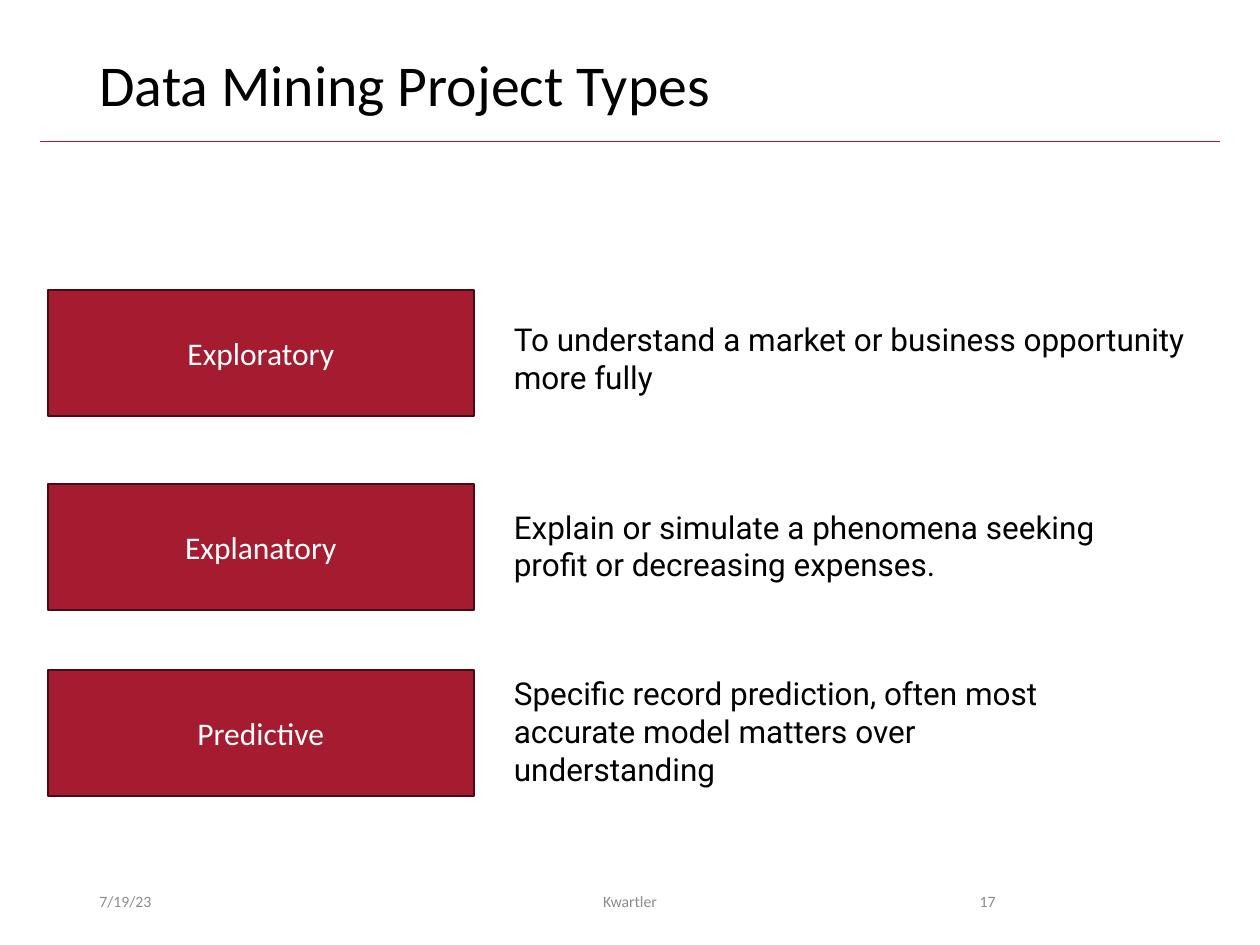
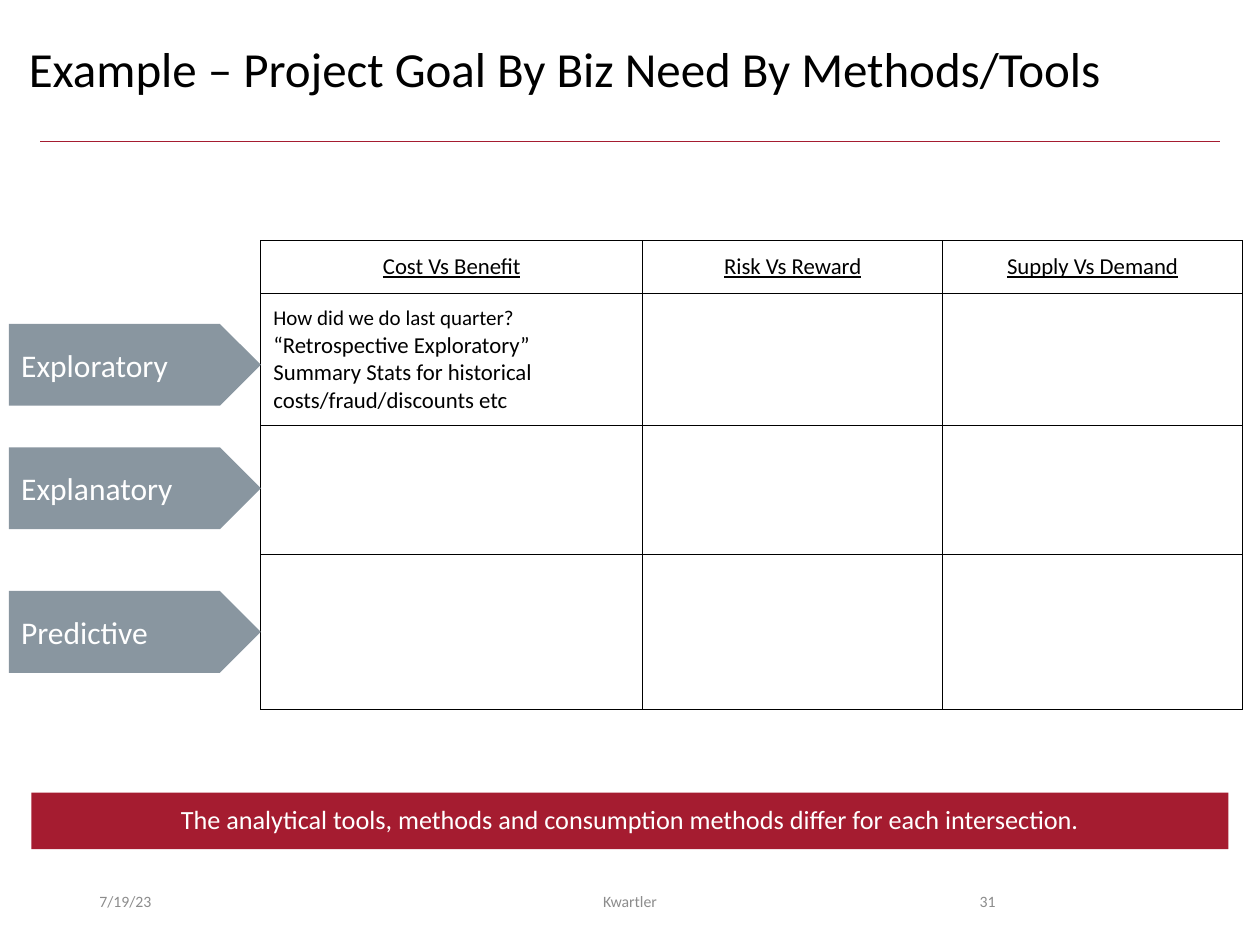
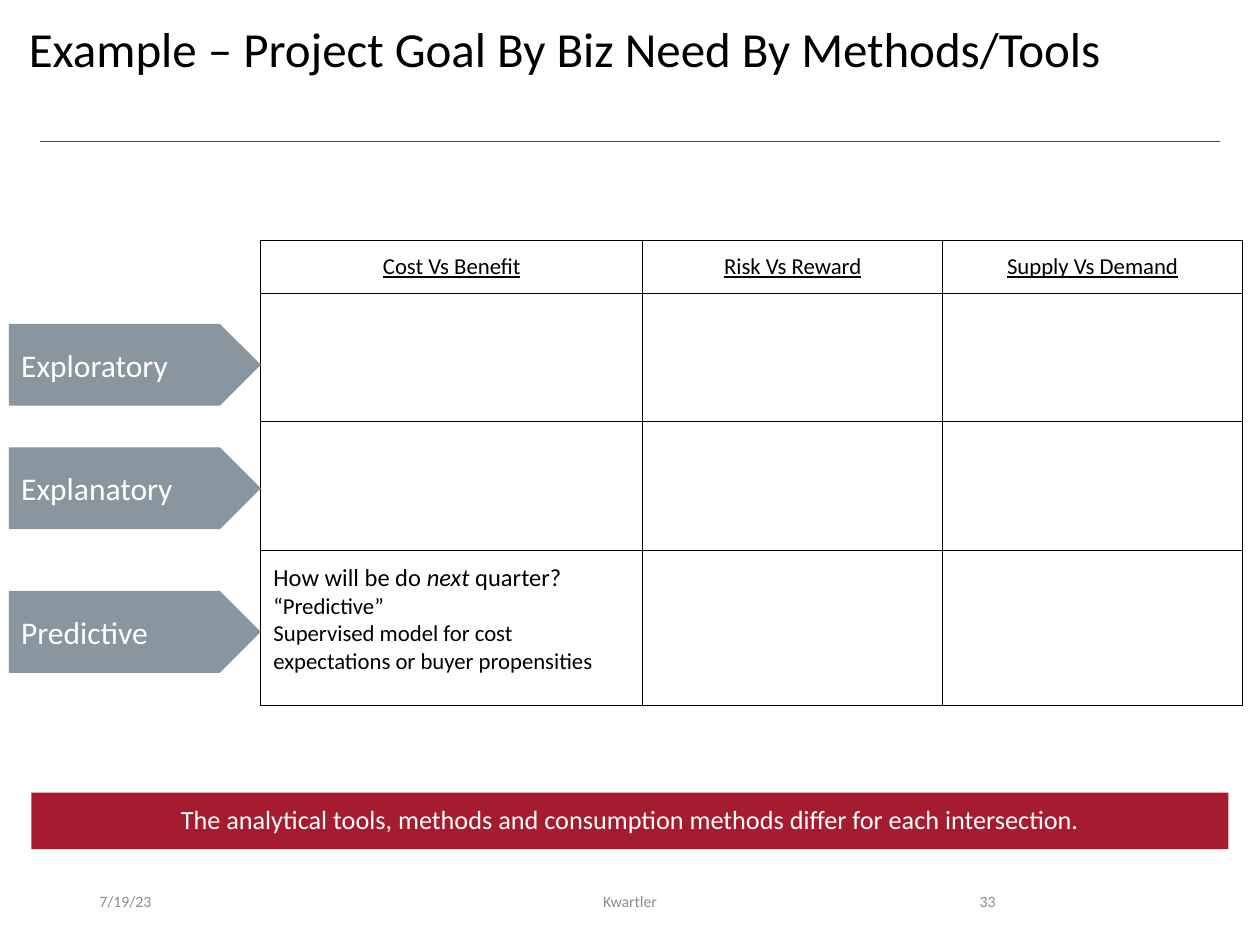
from lxml.etree import SubElement
from pptx import Presentation
from pptx.dml.color import RGBColor
from pptx.enum.shapes import MSO_CONNECTOR, MSO_SHAPE
from pptx.enum.text import MSO_ANCHOR as Anchor, MSO_AUTO_SIZE as AutoSize, PP_ALIGN as Align
from pptx.oxml import parse_xml
from pptx.oxml.ns import nsdecls, qn
from pptx.util import Inches, Pt

# Shared look
CRIMSON = RGBColor(0xA5, 0x1C, 0x30)
DARK_RED = RGBColor(0x48, 0x0C, 0x15)
SLATE = RGBColor(0x89, 0x96, 0xA0)
GRAY = RGBColor(0x8C, 0x8C, 0x8C)
BLACK = RGBColor(0, 0, 0)
WHITE = RGBColor(0xFF, 0xFF, 0xFF)
FONT, BODY_FONT = "Calibri", "Roboto"

# Content
DATE, AUTHOR = "7/19/23", "Kwartler"
# label, label top, description, description box (top, width, height)
PROJECT_TYPES = [
    ("Exploratory", 2.3, "To understand a market or business opportunity more fully",
     (2.49, 5.72, 0.71)),
    ("Explanatory", 3.84, "Explain or simulate a phenomena seeking profit or decreasing expenses.",
     (3.98, 5, 0.71)),
    ("Predictive", 5.32,
     "Specific record prediction, often most accurate model matters over understanding",
     (5.3, 5, 1.01)),
]
GOALS = [("Exploratory", 2.57), ("Explanatory", 3.55), ("Predictive", 4.69)]
NEEDS = ["Cost Vs Benefit", "Risk Vs Reward", "Supply Vs Demand"]
COLUMN_WIDTHS = [3.03, 2.38, 2.38]
ROW_HEIGHTS = [0.41, 1.02, 1.02, 1.23]
EXAMPLE_TITLE = "Example – Project Goal By Biz Need By Methods/Tools"
TAKEAWAY = "The analytical tools, methods and consumption methods differ for each intersection."
# title top, page number, table row of the example, paragraphs of (size, spans)
# where every second span is italic
EXAMPLES = [
    (0.31, 31, 1, [
        (12, ["How did we do last quarter?"]),
        (13, ["“Retrospective Exploratory”"]),
        (13, ["Summary Stats for historical costs/fraud/discounts etc"])]),
    (0.15, 33, 3, [
        (14, ["How will be do ", "next", " quarter?"]),
        (13, ["“Predictive”"]),
        (13, ["Supervised model for cost expectations or buyer propensities"])]),
]


def style(span, size, color, font=FONT):
    span.font.name = font
    span.font.size = Pt(size)
    span.font.color.rgb = color


def write(box, text, size, color, font=FONT, align=Align.LEFT, anchor=Anchor.TOP,
          spacing=None, inset=(0.1, 0.05)):
    frame = box.text_frame
    frame.word_wrap = True
    frame.vertical_anchor = anchor
    frame.margin_left = frame.margin_right = Inches(inset[0])
    frame.margin_top = frame.margin_bottom = Inches(inset[1])
    frame.text = text
    para = frame.paragraphs[0]
    para.alignment = align
    if spacing:
        para.line_spacing = spacing
    style(para.runs[0], size, color, font)


def add_text(page, area, text, size, color, **options):
    box = page.shapes.add_textbox(*map(Inches, area))
    write(box, text, size, color, **options)
    return box


def add_block(page, kind, area, text, size, fill, line=None, **options):
    block = page.shapes.add_shape(kind, *map(Inches, area))
    block.shadow.inherit = False
    block.fill.solid()
    block.fill.fore_color.rgb = fill
    if line:
        block.line.color.rgb = line
        block.line.width = Pt(1)
    else:
        block.line.fill.background()
    write(block, text, size, WHITE, anchor=Anchor.MIDDLE, **options)


def add_page(title, title_area, title_size, number):
    """A blank page with the rule, title and footers that all pages share."""
    page = deck.slides.add_slide(deck.slide_layouts[6])
    rule = page.shapes.add_connector(MSO_CONNECTOR.STRAIGHT, Inches(0.32), Inches(1.12),
                                     Inches(9.68), Inches(1.12))
    rule.line.color.rgb = CRIMSON
    rule.line.width = Pt(0.5)
    SubElement(rule._element.spPr, qn("a:effectLst"))
    add_text(page, title_area, title, title_size, BLACK, spacing=0.9)
    for text, left, width, align in [(DATE, 0.69, 2.25, Align.LEFT),
                                     (AUTHOR, 3.31, 3.38, Align.CENTER),
                                     (str(number), 7.06, 0.94, Align.RIGHT)]:
        add_text(page, (left, 6.95, width, 0.4), text, 9, GRAY,
                 align=align, anchor=Anchor.MIDDLE)
    return page


def add_borders(cell):
    props = cell._tc.get_or_add_tcPr()
    for index, side in enumerate(("lnL", "lnR", "lnT", "lnB")):
        props.insert(index, parse_xml(
            f'<a:{side} {nsdecls("a")} w="{Pt(0.75)}"><a:solidFill>'
            f'<a:srgbClr val="{BLACK}"/></a:solidFill></a:{side}>'))


def add_matrix(page, example_row, example):
    """The grid of goals by business needs, with one example filled in."""
    table = page.shapes.add_table(
        len(ROW_HEIGHTS), len(COLUMN_WIDTHS), Inches(2.07), Inches(1.91),
        Inches(sum(COLUMN_WIDTHS)), Inches(sum(ROW_HEIGHTS))).table
    table.first_row = table.horz_banding = False
    for column, width in zip(table.columns, COLUMN_WIDTHS):
        column.width = Inches(width)
    for row, height in zip(table.rows, ROW_HEIGHTS):
        row.height = Inches(height)
    for cell in table.iter_cells():
        cell.fill.background()
        add_borders(cell)
        cell.margin_left = cell.margin_right = Inches(0.1)
        cell.margin_top = cell.margin_bottom = Inches(0.1)

    for index, need in enumerate(NEEDS):
        cell = table.cell(0, index)
        cell.text = need
        para = cell.text_frame.paragraphs[0]
        para.alignment = Align.CENTER
        style(para.runs[0], 13, BLACK)
        para.runs[0].font.underline = True

    frame = table.cell(example_row, 0).text_frame
    for index, (size, spans) in enumerate(example):
        para = frame.add_paragraph() if index else frame.paragraphs[0]
        for position, text in enumerate(spans):
            span = para.add_run()
            span.text = text
            style(span, size, BLACK)
            span.font.italic = position % 2 == 1


deck = Presentation()
deck.slide_width, deck.slide_height = Inches(10), Inches(7.5)

# Project types
page = add_page("Data Mining Project Types", (0.69, 0.4, 8.62, 0.65), 33, 17)
for label, top, description, (text_top, width, height) in PROJECT_TYPES:
    add_block(page, MSO_SHAPE.RECTANGLE, (0.38, top, 3.38, 1), label, 18, CRIMSON,
              line=DARK_RED, align=Align.CENTER)
    box = add_text(page, (3.98, text_top, width, height), description, 18, BLACK,
                   font=BODY_FONT)
    box.text_frame.auto_size = AutoSize.SHAPE_TO_FIT_TEXT

# Goal by need examples
for title_top, number, example_row, example in EXAMPLES:
    page = add_page(EXAMPLE_TITLE, (0.13, title_top, 9.72, 0.65), 28, number)
    add_block(page, MSO_SHAPE.RECTANGLE, (0.25, 6.29, 9.5, 0.45), TAKEAWAY, 15, CRIMSON,
              align=Align.CENTER, spacing=0.9, inset=(0.07, 0.04))
    add_matrix(page, example_row, example)
    for goal, top in GOALS:
        add_block(page, MSO_SHAPE.PENTAGON, (0.07, top, 2, 0.65), goal, 18, SLATE,
                  inset=(0.1, 0.1))

deck.save("out.pptx")
